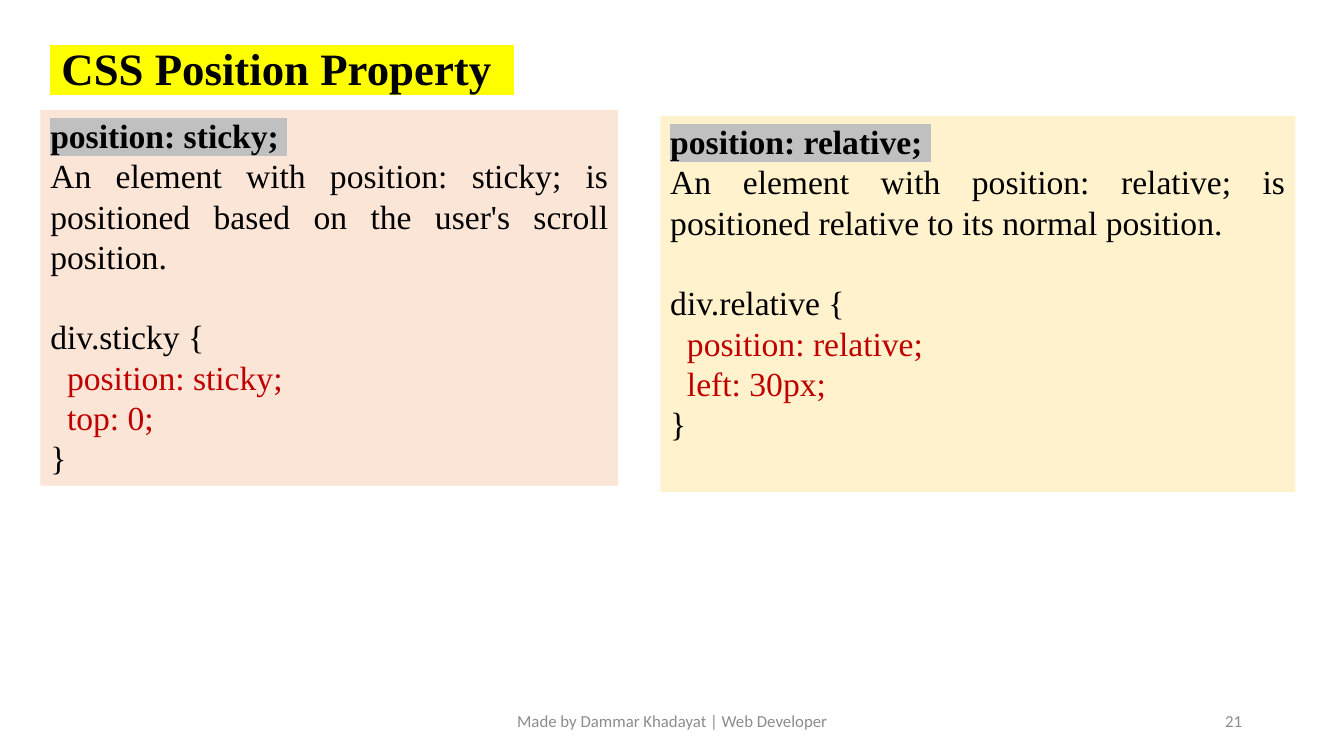
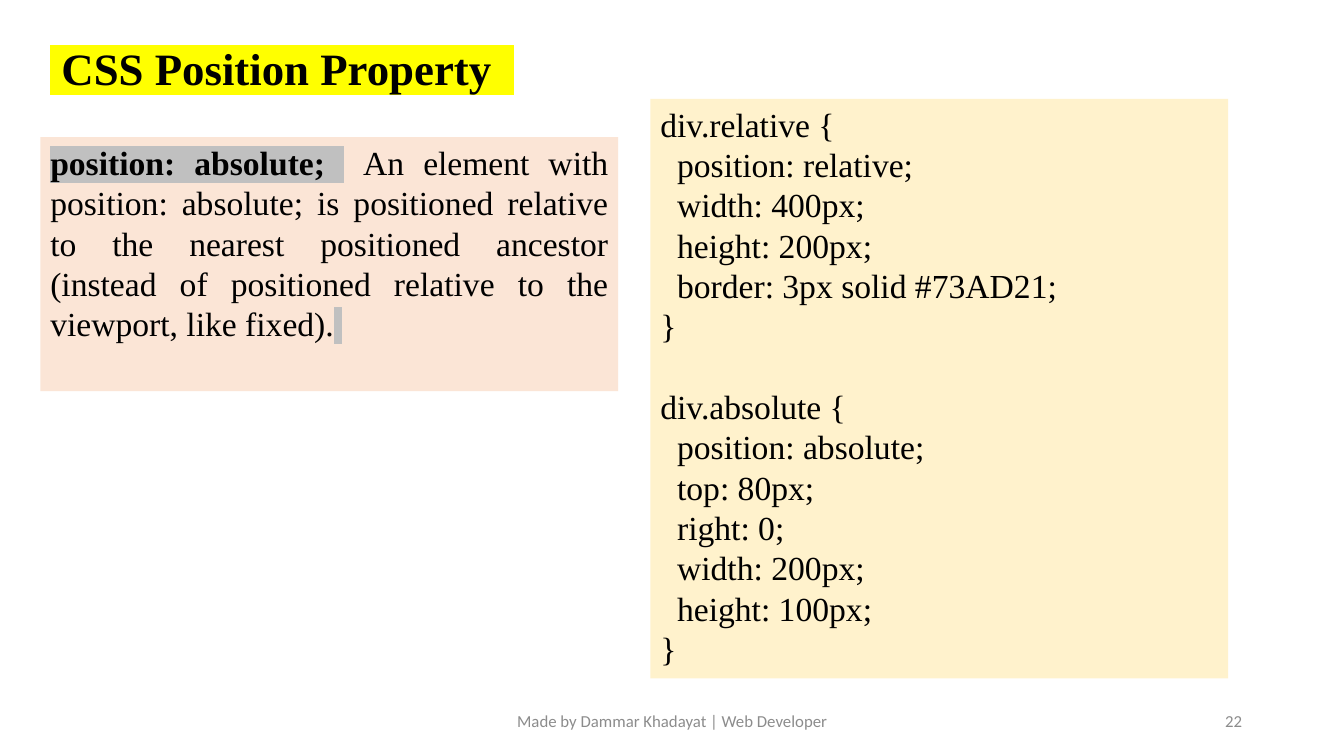
from lxml.etree import SubElement
from pptx import Presentation
from pptx.dml.color import RGBColor
from pptx.enum.shapes import MSO_SHAPE
from pptx.enum.text import MSO_ANCHOR, PP_ALIGN
from pptx.oxml.ns import qn
from pptx.util import Inches, Pt

WIDTH, HEIGHT = Inches(13.33), Inches(7.5)
BLACK, RED, MUTED = "000000", "C00000", "8C8C8C"
PEACH, CREAM = "FBE5D6", "FFF2CC"
YELLOW, SILVER = "FFFF00", "C0C0C0"
SERIF, SANS = "Times New Roman", "Calibri"
BODY_SIZE, TITLE_SIZE, FOOTER_SIZE = 24, 32, 12
LEADING = 1.2  # line height as a multiple of the text size

# Boxes are left, top, width, height in percent of the slide
TITLE_BOX = (3, 4.67, 43, 8.53)
FOOTER_BOX = (33.15, 92.67, 33.75, 5.33)
NUMBER_BOX = (70.66, 92.67, 22.5, 5.33)


def rgb(value):
    return RGBColor.from_string(value)


def place(box):
    left, top, width, height = (share / 100 for share in box)
    return (round(WIDTH * left), round(HEIGHT * top),
            round(WIDTH * width), round(HEIGHT * height))


def span(text, color=BLACK, bold=False, mark=None):
    return text, color, bold, mark


def add_para(para, spans, size, font=SERIF, align=PP_ALIGN.JUSTIFY):
    para.alignment = align
    para.line_spacing = Pt(size * LEADING)
    for text, color, bold, mark in spans:
        run = para.add_run()
        run.text = text
        run.font.size, run.font.bold = Pt(size), bold
        run.font.color.rgb = rgb(color)
        if mark:
            highlight = SubElement(run.font._element, qn("a:highlight"))
            SubElement(highlight, qn("a:srgbClr"), val=mark)
        run.font.name = font


def add_label(page, box, spans, size, anchor=MSO_ANCHOR.TOP, **style):
    """One line of text without a fill."""
    frame = page.shapes.add_textbox(*place(box)).text_frame
    frame.word_wrap = True
    frame.vertical_anchor = anchor
    add_para(frame.paragraphs[0], spans, size, **style)


def add_panel(page, box, fill, blocks):
    """Filled box; its blocks of paragraphs stand one line apart."""
    panel = page.shapes.add_shape(MSO_SHAPE.RECTANGLE, *place(box))
    panel.shadow.inherit = False
    panel.fill.solid()
    panel.fill.fore_color.rgb = rgb(fill)
    panel.line.fill.background()
    frame = panel.text_frame
    frame.word_wrap = True
    frame.vertical_anchor = MSO_ANCHOR.TOP
    for block_index, block in enumerate(blocks):
        for line_index, spans in enumerate(block):
            first = block_index == 0 and line_index == 0
            para = frame.paragraphs[0] if first else frame.add_paragraph()
            if block_index and line_index == 0:
                para.space_before = Pt(BODY_SIZE * LEADING)
            add_para(para, spans, BODY_SIZE)


def css_rule(selector, declarations, color=BLACK):
    return [[span(selector + " {")],
            *([span(f"  {line};", color)] for line in declarations),
            [span("}")]]


def heading(text):
    return span(text, bold=True, mark=SILVER)


def add_page(deck, number, panels):
    page = deck.slides.add_slide(deck.slide_layouts[6])
    # Footer and slide number
    add_label(page, NUMBER_BOX, [span(str(number), MUTED)], FOOTER_SIZE,
              MSO_ANCHOR.MIDDLE, font=SANS, align=PP_ALIGN.RIGHT)
    add_label(page, FOOTER_BOX,
              [span("Made by Dammar Khadayat | Web Developer", MUTED)],
              FOOTER_SIZE, MSO_ANCHOR.MIDDLE, font=SANS, align=PP_ALIGN.CENTER)
    # Title and panels
    add_label(page, TITLE_BOX,
              [span(" CSS Position Property  ", bold=True, mark=YELLOW)],
              TITLE_SIZE)
    for box, fill, blocks in panels:
        add_panel(page, box, fill, blocks)


def main():
    deck = Presentation()
    deck.slide_width, deck.slide_height = WIDTH, HEIGHT

    # Sticky and relative
    sticky = [
        [[heading("position: sticky; ")],
         [span("An element with position: sticky; is positioned based on "
               "the user's scroll position.")]],
        css_rule("div.sticky", ["position: sticky", "top: 0"], RED),
    ]
    relative = [
        [[heading("position: relative; ")],
         [span("An element with position: relative; is positioned relative "
               "to its normal position.")]],
        css_rule("div.relative", ["position: relative", "left: 30px"], RED),
    ]
    add_page(deck, 21, [
        ((3, 14.53, 43, 49.73), PEACH, sticky),
        ((49.13, 15.33, 47.25, 49.73), CREAM, relative),
    ])

    # Absolute, with its code
    absolute = [[[
        heading("position: absolute; "),
        span(" ", bold=True),
        span("An element with position: absolute; is positioned relative to "
             "the nearest positioned ancestor (instead of positioned "
             "relative to the viewport, like fixed)."),
        span(" ", mark=SILVER),
    ]]]
    code = [
        css_rule("div.relative", ["position: relative", "width: 400px",
                                  "height: 200px",
                                  "border: 3px solid #73AD21"]),
        css_rule("div.absolute", ["position: absolute", "top: 80px",
                                  "right: 0", "width: 200px",
                                  "height: 100px"]),
    ]
    add_page(deck, 22, [
        ((3, 18.13, 43, 33.6), PEACH, absolute),
        ((48.39, 13.07, 43, 76.67), CREAM, code),
    ])

    deck.save("out.pptx")


if __name__ == "__main__":
    main()
